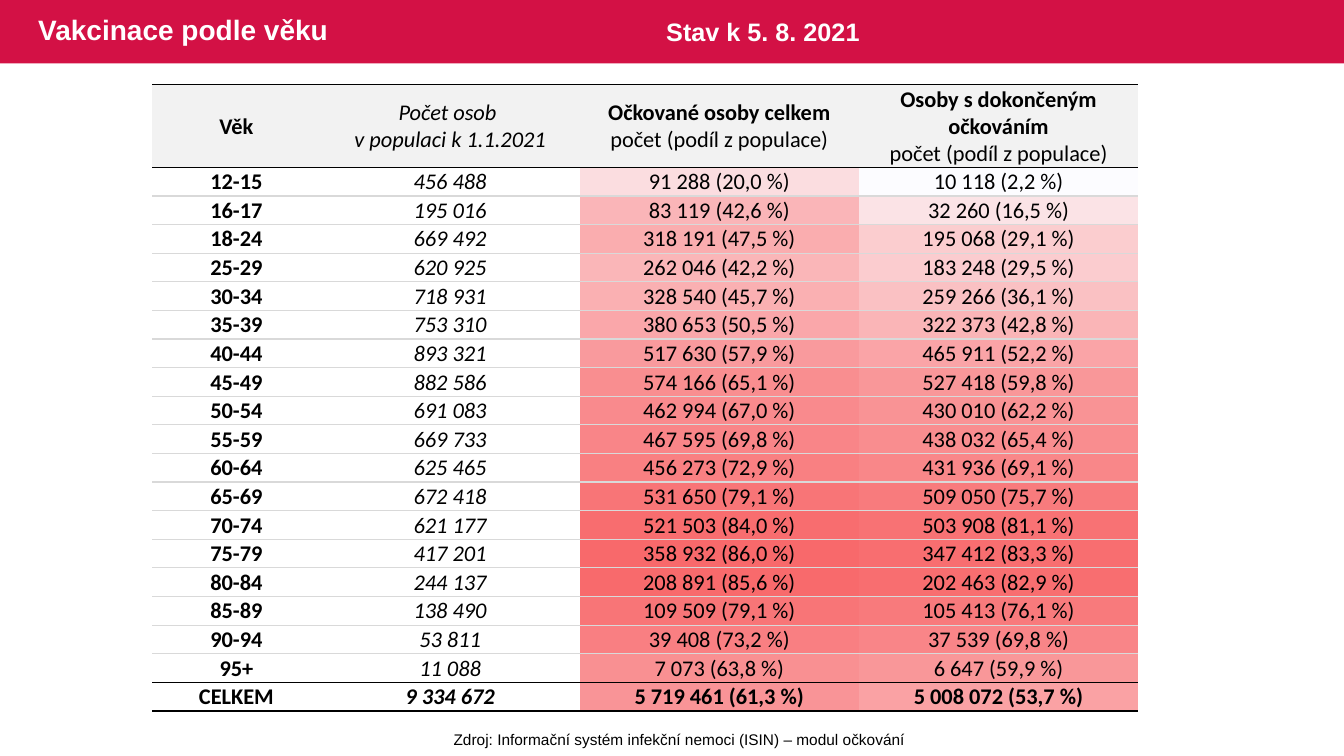
from lxml.etree import SubElement
from pptx import Presentation
from pptx.dml.color import RGBColor
from pptx.enum.shapes import MSO_SHAPE
from pptx.enum.text import MSO_ANCHOR, PP_ALIGN
from pptx.oxml.ns import qn
from pptx.util import Inches, Pt

RED = RGBColor(0xD3, 0x11, 0x45)
WHITE = RGBColor(0xFF, 0xFF, 0xFF)
BLACK = RGBColor(0, 0, 0)
PALE = RGBColor(0xF2, 0xF2, 0xF2)
GREY = RGBColor(0xD9, 0xD9, 0xD9)
COOL = RGBColor(0xFC, 0xFC, 0xFF)
HOT = RGBColor(0xF8, 0x69, 0x6B)
NO_STYLE = "{2D5ABB26-0587-4C30-8999-92F81FD0307C}"

WIDTHS = (1.67, 2.57, 2.77, 2.77)
HEAD_HEIGHT = 0.82
HEADS = (
    ("Věk",),
    ("Počet osob ", "v populaci k 1.1.2021"),
    ("Očkované osoby celkem", "počet (podíl z populace)"),
    ("Osoby s dokončeným očkováním", "počet (podíl z populace)"),
)
AGES = (
    ("12-15", 456488, (91288, 20.0), (10118, 2.2)),
    ("16-17", 195016, (83119, 42.6), (32260, 16.5)),
    ("18-24", 669492, (318191, 47.5), (195068, 29.1)),
    ("25-29", 620925, (262046, 42.2), (183248, 29.5)),
    ("30-34", 718931, (328540, 45.7), (259266, 36.1)),
    ("35-39", 753310, (380653, 50.5), (322373, 42.8)),
    ("40-44", 893321, (517630, 57.9), (465911, 52.2)),
    ("45-49", 882586, (574166, 65.1), (527418, 59.8)),
    ("50-54", 691083, (462994, 67.0), (430010, 62.2)),
    ("55-59", 669733, (467595, 69.8), (438032, 65.4)),
    ("60-64", 625465, (456273, 72.9), (431936, 69.1)),
    ("65-69", 672418, (531650, 79.1), (509050, 75.7)),
    ("70-74", 621177, (521503, 84.0), (503908, 81.1)),
    ("75-79", 417201, (358932, 86.0), (347412, 83.3)),
    ("80-84", 244137, (208891, 85.6), (202463, 82.9)),
    ("85-89", 138490, (109509, 79.1), (105413, 76.1)),
    ("90-94", 53811, (39408, 73.2), (37539, 69.8)),
    ("95+", 11088, (7073, 63.8), (6647, 59.9)),
    ("CELKEM", 9334672, (5719461, 61.3), (5008072, 53.7)),
)
SHARES = [pair[1] for row in AGES for pair in row[2:]]


def write(para, text, font="Arial", size=16, color=BLACK, bold=False,
          italic=False, align=PP_ALIGN.LEFT, spacing=None):
    """Put one formatted run of text in a paragraph."""
    para.alignment = align
    para.line_spacing = spacing
    run = para.add_run()
    run.text = text
    run.font.name = font
    run.font.size = Pt(size)
    run.font.color.rgb = color
    run.font.bold = bold
    run.font.italic = italic


def add_label(slide, box, text, wrap=True, anchor=MSO_ANCHOR.TOP, **look):
    """Add a text box that holds one line."""
    frame = slide.shapes.add_textbox(*map(Inches, box)).text_frame
    frame.word_wrap = wrap
    frame.vertical_anchor = anchor
    write(frame.paragraphs[0], text, **look)


def add_banner(slide, box):
    """Draw the red band with the title and the date."""
    left, top, width, height = box
    band = slide.shapes.add_shape(MSO_SHAPE.RECTANGLE, *map(Inches, box))
    band.shadow.inherit = False
    band.fill.solid()
    band.fill.fore_color.rgb = RED
    band.line.fill.background()
    add_label(slide, (left + 0.28, top, 8.13, height), "Vakcinace podle věku",
              anchor=MSO_ANCHOR.MIDDLE, size=20, color=WHITE, bold=True,
              spacing=0.9)
    add_label(slide, (left + 6.51, top + 0.11, 2.96, 0.4), "Stav k 5. 8. 2021",
              size=18, color=WHITE, bold=True)


def add_grid(slide, box, rows, widths):
    """Add a plain table with equal rows and the given column widths."""
    table = slide.shapes.add_table(rows, len(widths), *map(Inches, box)).table
    table._tbl.tblPr.find(qn("a:tableStyleId")).text = NO_STYLE
    table.first_row = table.horz_banding = False
    for column, width in zip(table.columns, widths):
        column.width = Inches(width)
    for row in table.rows:
        row.height = Inches(box[3] / rows)
    for cell in table.iter_cells():
        cell.margin_left = cell.margin_right = cell.margin_top = Inches(0.01)
        cell.margin_bottom = 0
        cell.vertical_anchor = MSO_ANCHOR.MIDDLE
    return table


def paint(cell, color):
    """Fill a cell with one colour."""
    cell.fill.solid()
    cell.fill.fore_color.rgb = color


def heat(share):
    """Blend the scale colours by a share of the population."""
    low, high = min(SHARES), max(SHARES)
    part = (share - low) / (high - low)
    return RGBColor(*(round(a + (b - a) * part) for a, b in zip(COOL, HOT)))


def add_heat(slide, box):
    """Build the colour scale that lies behind the shares."""
    table = add_grid(slide, box, len(AGES), WIDTHS[2:])
    for cell, share in zip(table.iter_cells(), SHARES):
        paint(cell, heat(share))
        para = cell.text_frame.paragraphs[0]
        SubElement(para._p, qn("a:endParaRPr"), sz="1200")


def add_edge(cell, side, color):
    """Draw a one-point line on the top or bottom of a cell."""
    line = SubElement(cell._tc.get_or_add_tcPr(), qn(f"a:ln{side}"), w=str(Pt(1)))
    fill = SubElement(line, qn("a:solidFill"))
    SubElement(fill, qn("a:srgbClr"), val=str(color))


def fill_cell(cell, looks, edges):
    """Set the lines and paragraphs of a cell."""
    for side, color in zip("TB", edges):
        add_edge(cell, side, color)
    cell.fill.background()
    frame = cell.text_frame
    for index, (text, bold, italic) in enumerate(looks):
        para = frame.add_paragraph() if index else frame.paragraphs[0]
        write(para, text, font="Calibri", bold=bold, italic=italic,
              align=PP_ALIGN.CENTER)


def group(count):
    """Format a count with spaces between thousands."""
    return f"{count:,}".replace(",", " ")


def add_ages(slide, box):
    """Build the table of vaccination by age."""
    last = len(AGES)
    table = add_grid(slide, box, last + 1, WIDTHS)
    for row in table.rows:
        row.height = Inches((box[3] - HEAD_HEIGHT) / last)
    table.rows[0].height = Inches(HEAD_HEIGHT)

    for col, lines in enumerate(HEADS):
        looks = [(text, col != 1 and index == 0, col == 1)
                 for index, text in enumerate(lines)]
        fill_cell(table.cell(0, col), looks, (BLACK, BLACK))
        paint(table.cell(0, col), PALE)

    for row, (age, people, *pairs) in enumerate(AGES, 1):
        total = row == last
        edges = (BLACK if row in (1, last) else GREY,
                 BLACK if row >= last - 1 else GREY)
        fill_cell(table.cell(row, 0), [(age, True, False)], edges)
        fill_cell(table.cell(row, 1), [(group(people), total, True)], edges)
        for col, (count, share) in enumerate(pairs, 2):
            part = f"{share:.1f}".replace(".", ",")
            text = f"{group(count)} ({part} %)"
            fill_cell(table.cell(row, col), [(text, total, False)], edges)


def main():
    """Build and save the slide."""
    deck = Presentation()
    deck.slide_width, deck.slide_height = Inches(13.33), Inches(7.5)
    slide = deck.slides.add_slide(deck.slide_layouts[6])
    left, top, height = 1.51, 0.84, 6.22
    add_banner(slide, (0, 0, 13.33, 0.63))
    add_heat(slide, (left + sum(WIDTHS[:2]), top + HEAD_HEIGHT,
                     sum(WIDTHS[2:]), height - HEAD_HEIGHT))
    add_label(slide, (4.39, 7.19, 4.7, 0.29),
              "Zdroj: Informační systém infekční nemoci (ISIN) – modul očkování",
              wrap=False, size=11, align=PP_ALIGN.CENTER)
    add_ages(slide, (left, top, sum(WIDTHS), height))
    deck.save("out.pptx")


if __name__ == "__main__":
    main()
